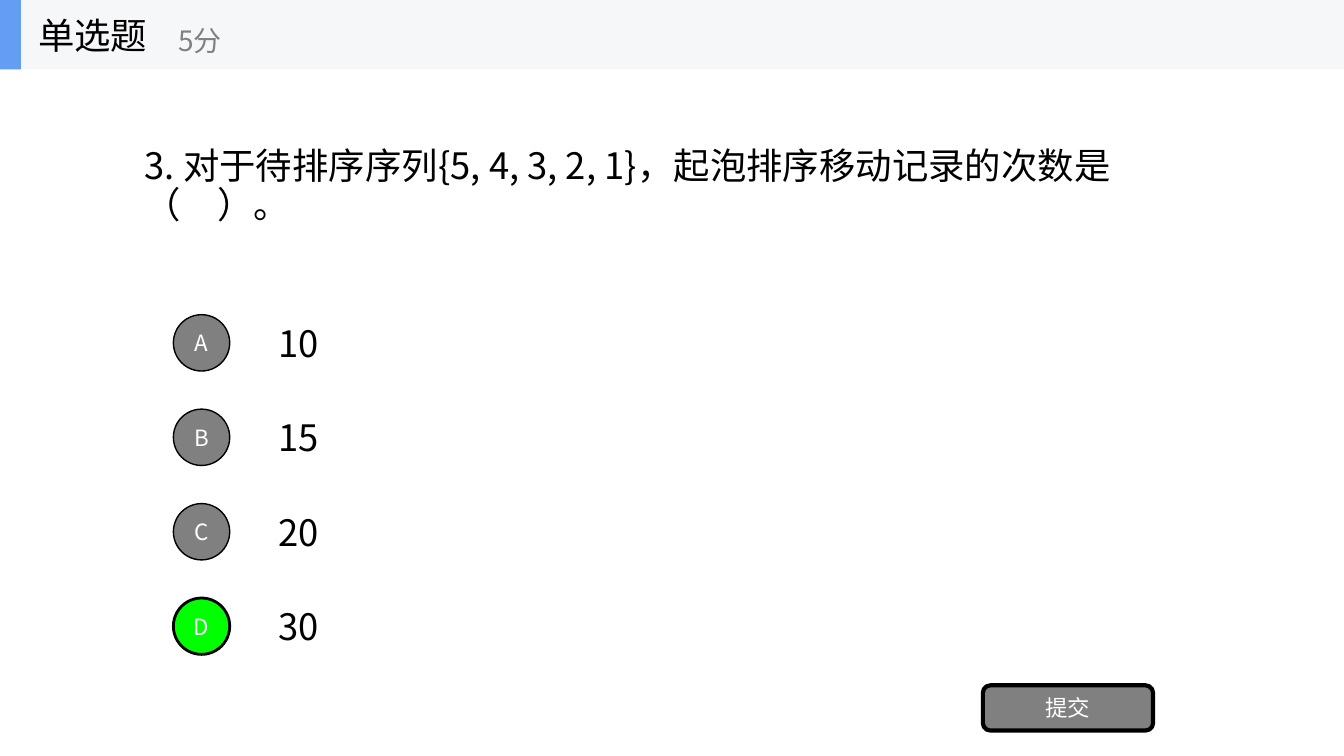
from lxml.etree import SubElement
from pptx import Presentation
from pptx.dml.color import RGBColor
from pptx.enum.shapes import MSO_SHAPE as Preset
from pptx.enum.text import MSO_ANCHOR as Anchor, MSO_AUTO_SIZE as AutoSize, PP_ALIGN as Align
from pptx.oxml.ns import qn
from pptx.util import Cm, Pt

FONT = "Noto Sans CJK SC"
COLORS = {
    "text": "000000",
    "muted": "808080",
    "light": "FFFFFF",
    "correct": "00FF00",
    "band": "F6F7F8",
    "accent": "639EF4",
}
FRAME_FORMAT = {
    "word_wrap": True,
    "auto_size": AutoSize.NONE,
    "vertical_anchor": Anchor.MIDDLE,
}
QUESTION = "3. 对于待排序序列{5, 4, 3, 2, 1}，起泡排序移动记录的次数是（　）。"
OPTIONS = {"A": "10", "B": "15", "C": "20", "D": "30"}
ANSWER = "D"
FIRST_OPTION_TOP = 7.75
OPTION_STEP = 2.38
OPTION_HEIGHT = 1.78
BUBBLE_SIZE = 1.42
HEADER_HEIGHT = 1.75
SLIDE_WIDTH = 33.87


def rgb(name):
    return RGBColor.from_string(COLORS[name])


def apply(target, values):
    for attribute, value in values.items():
        setattr(target, attribute, value)


def write(holder, words, size, color, align=Align.LEFT, spacing=1.0):
    apply(holder.text_frame, FRAME_FORMAT)
    paragraph = holder.text_frame.paragraphs[0]
    apply(paragraph, {"alignment": align, "line_spacing": spacing})
    run = paragraph.add_run()
    run.text = words
    apply(run.font, {"size": Pt(size), "name": FONT})
    run.font.color.rgb = rgb(color)
    SubElement(run.font._element, qn("a:ea"), typeface=FONT)


def add_label(shapes, box, words, size=26, color="text"):
    write(shapes.add_textbox(*map(Cm, box)), words, size, color)


def add_block(shapes, preset, box, fill, border=0):
    block = shapes.add_shape(preset, *map(Cm, box))
    block.shadow.inherit = False
    block.fill.solid()
    block.fill.fore_color.rgb = rgb(fill)
    if border:
        block.line.color.rgb = rgb("text")
        block.line.width = Pt(border)
    else:
        block.line.fill.background()
    return block


def add_button(shapes, preset, box, words, fill, border):
    button = add_block(shapes, preset, box, fill, border)
    write(button, words, 16, "light", Align.CENTER)


def add_question(slide):
    title = slide.shapes.title
    apply(title, {"left": Cm(3.39), "top": Cm(1.75), "width": Cm(27.1), "height": Cm(5.94)})
    write(title, QUESTION, 26, "text", spacing=0.9)


def add_options(shapes):
    tops = [FIRST_OPTION_TOP + i * OPTION_STEP for i in range(len(OPTIONS))]
    for top, value in zip(tops, OPTIONS.values()):
        add_label(shapes, (6.77, top, 23.7, OPTION_HEIGHT), value)
    inset = (OPTION_HEIGHT - BUBBLE_SIZE) / 2
    for top, letter in zip(tops, OPTIONS):
        fill, border = ("correct", 2) if letter == ANSWER else ("muted", 1)
        box = (4.37, top + inset, BUBBLE_SIZE, BUBBLE_SIZE)
        add_button(shapes, Preset.OVAL, box, letter, fill, border)


def add_header(shapes):
    header = shapes.add_group_shape().shapes
    add_block(header, Preset.RECTANGLE, (0, 0, SLIDE_WIDTH, HEADER_HEIGHT), "band")
    add_block(header, Preset.RECTANGLE, (0, 0, 0.53, HEADER_HEIGHT), "accent")
    add_label(header, (0.71, 0, 5.28, HEADER_HEIGHT), "单选题")
    add_label(header, (4.24, 0.3, 6.35, 1.42), "5分", 20, "muted")


def main():
    deck = Presentation()
    apply(deck, {"slide_width": Cm(SLIDE_WIDTH), "slide_height": Cm(19.05)})
    slide = deck.slides.add_slide(deck.slide_layouts[5])
    add_question(slide)
    add_options(slide.shapes)
    add_button(slide.shapes, Preset.ROUNDED_RECTANGLE, (24.77, 17.27, 4.29, 1.14), "提交", "muted", 3)
    add_header(slide.shapes)
    deck.save("out.pptx")


if __name__ == "__main__":
    main()
